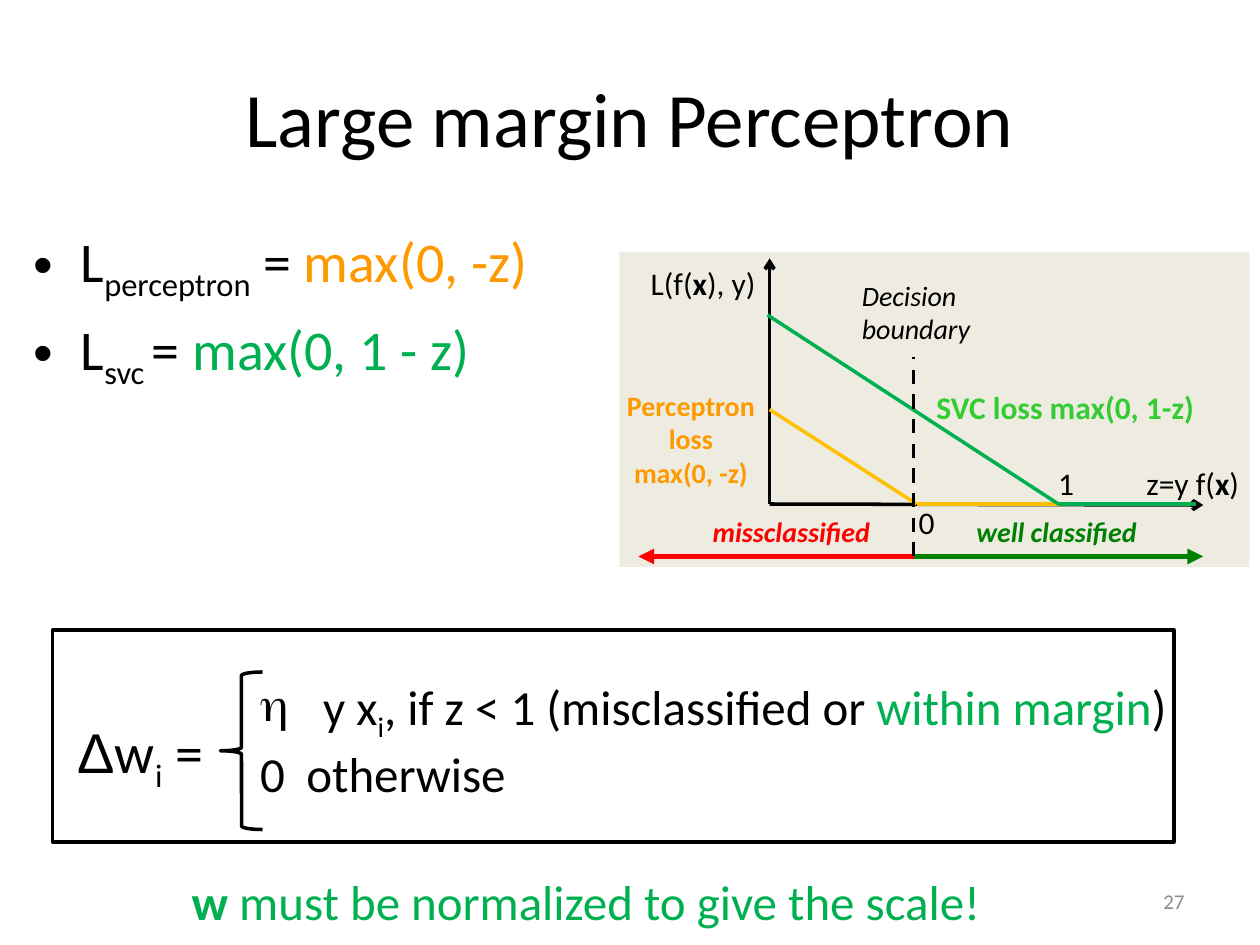
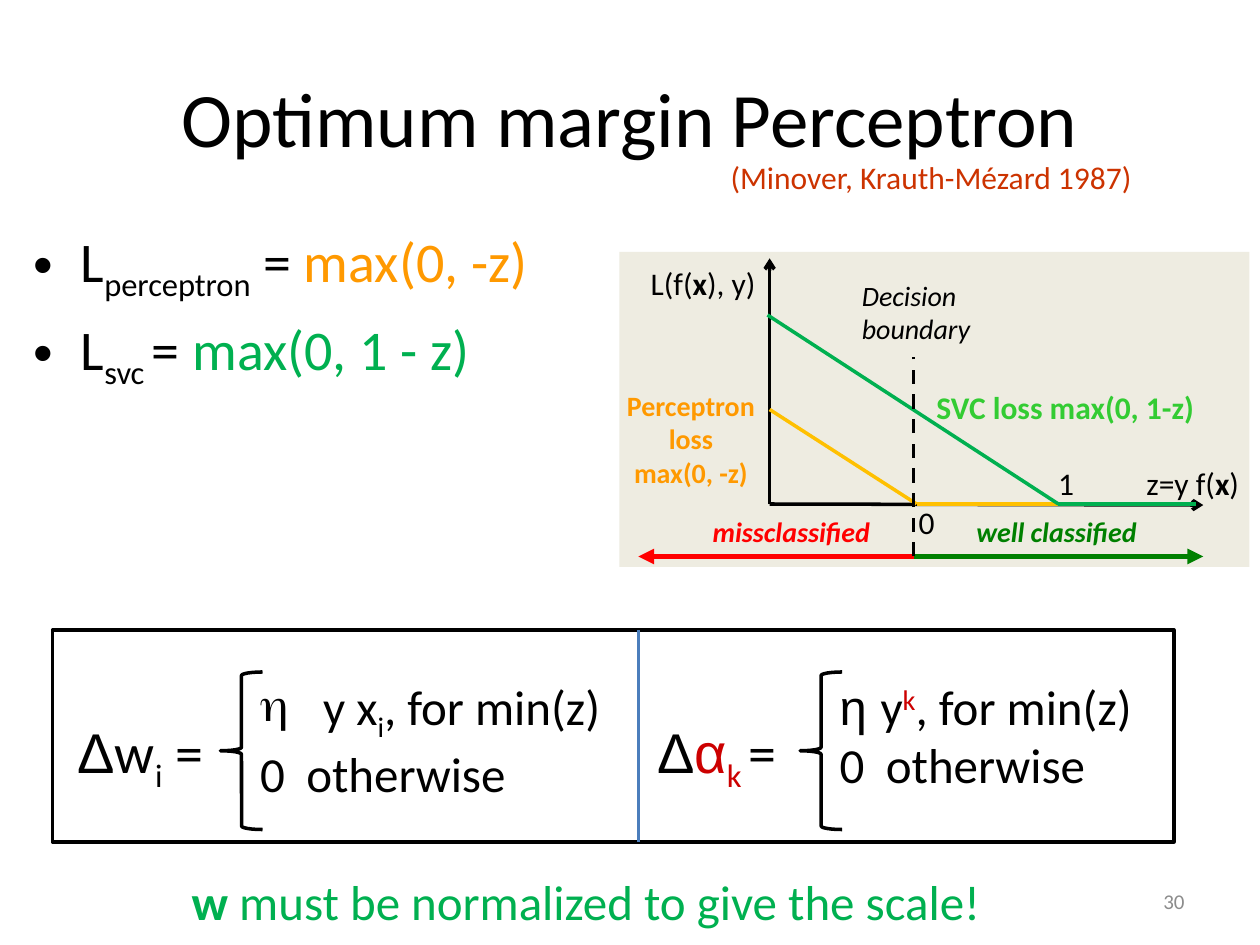
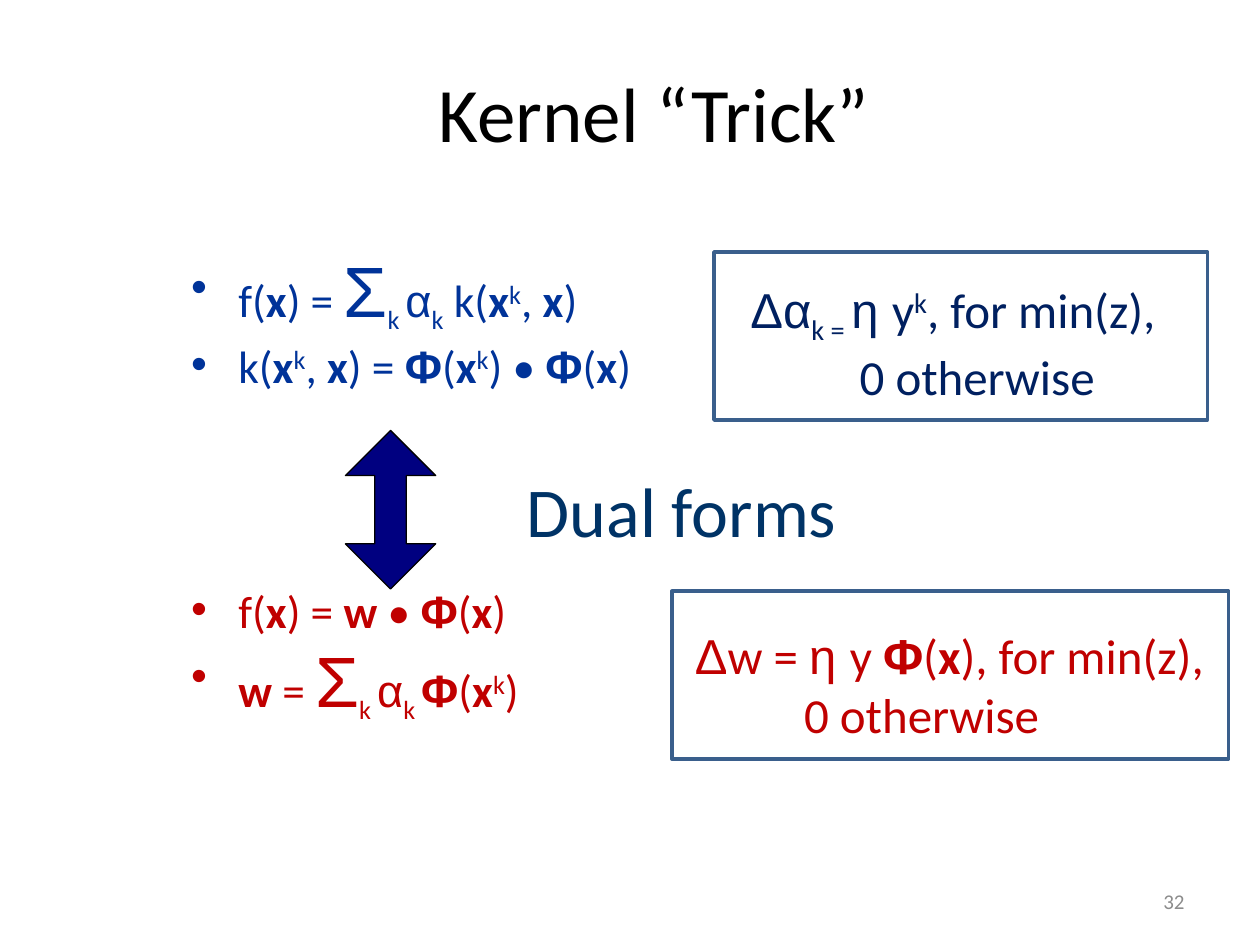
from typing import NamedTuple

from lxml import etree
from pptx import Presentation
from pptx.dml.color import RGBColor
from pptx.enum.dml import MSO_LINE
from pptx.enum.shapes import MSO_CONNECTOR, MSO_SHAPE
from pptx.enum.text import MSO_ANCHOR, MSO_AUTO_SIZE, PP_ALIGN
from pptx.oxml.ns import qn
from pptx.util import Inches, Pt

RECTANGLE, LEFT_BRACE = MSO_SHAPE.RECTANGLE, MSO_SHAPE.LEFT_BRACE
UP_DOWN_ARROW = MSO_SHAPE.UP_DOWN_ARROW
STRAIGHT, DASH = MSO_CONNECTOR.STRAIGHT, MSO_LINE.DASH
CENTER, RIGHT = PP_ALIGN.CENTER, PP_ALIGN.RIGHT
TOP, MIDDLE = MSO_ANCHOR.TOP, MSO_ANCHOR.MIDDLE
NO_FIT = MSO_AUTO_SIZE.NONE
TITLE_AND_CONTENT = 1

COLORS = {
    "black": "000000", "grey": "8C8C8C", "beige": "EEECE1",
    "orange": "FF9900", "amber": "FFC000", "green": "00B050",
    "lime": "33CC33", "dark green": "008000", "red": "FF0000",
    "crimson": "CC0000", "rust": "CC3300", "dark red": "C00000",
    "blue": "003399", "teal": "003366", "ink": "002060",
    "navy": "000080", "outline": "3A5F8C", "divider": "4B7EBC",
}

# Run styles
SUB, SUP = {"baseline": -25}, {"baseline": 30}
BOLD, ITALIC = {"bold": True}, {"italic": True}
GREEK = {"font": "Arial"}
BOLD_GREEK = GREEK | BOLD
SUM = GREEK | {"size": 40.7}
BREAK = "\n"
X = ("x", BOLD)
PHI = ("Φ", BOLD_GREEK)


def cells(count):
    """Length of grid cells; the slide is 120 columns by 90 rows."""
    return Inches(count / 12)


class Box(NamedTuple):
    left: float
    top: float
    width: float
    height: float

    def inside(self, column, row, width, height):
        return Box(self.left + column, self.top + row, width, height)

    def lengths(self):
        return [cells(count) for count in self]


TITLE = Box(6, 3.6, 108, 15)
LOSS_LIST = Box(2, 21, 57, 24)
DIAGRAM = Box(59, 24, 60, 30)
RULE_PANEL = Box(5, 60, 106.8, 20.2)
RIGHT_RULE = 55.2
SCALE_NOTE = Box(2, 82.4, 107.6, 6.8)
PAGE_NUMBER = Box(86, 83.4, 28, 4.8)


def rgb(name):
    return RGBColor.from_string(COLORS[name])


# Text helpers
def add_runs(paragraph, runs, size, color, **shared):
    for item in runs:
        if item == BREAK:
            paragraph.add_line_break()
            continue
        text, style = (item, {}) if isinstance(item, str) else item
        style = shared | style
        run = paragraph.add_run()
        run.text = text
        font = run.font
        font.name = style.get("font", "Calibri")
        font.size = Pt(style.get("size", size))
        font.color.rgb = rgb(style.get("color", color))
        font.bold = style.get("bold", False)
        font.italic = style.get("italic", False)
        if "baseline" in style:
            run._r.get_or_add_rPr().set("baseline", str(style["baseline"] * 1000))


def add_text(slide, box, lines, size, color="black", align=None, anchor=TOP, **shared):
    """Add a wrapped text box with one paragraph per list of runs."""
    frame = slide.shapes.add_textbox(*box.lengths()).text_frame
    frame.word_wrap = True
    frame.vertical_anchor = anchor
    for index, runs in enumerate(lines):
        paragraph = frame.add_paragraph() if index else frame.paragraphs[0]
        paragraph.alignment = align
        add_runs(paragraph, runs, size, color, **shared)
    return frame.paragraphs


def set_indent(paragraph, margin, first_line=0):
    properties = paragraph._p.get_or_add_pPr()
    properties.set("marL", str(cells(margin)))
    properties.set("indent", str(cells(first_line)))
    return properties


def set_bullet(paragraph, character, width):
    properties = set_indent(paragraph, width, -width)
    etree.SubElement(properties, qn("a:buChar"), char=character)


def set_tab(paragraph, position):
    tabs = etree.SubElement(paragraph._p.get_or_add_pPr(), qn("a:tabLst"))
    etree.SubElement(tabs, qn("a:tab"), pos=str(cells(position)), algn="l")


# Shape helpers
def add_shape(slide, kind, box, fill=None, line=None, width=2):
    shape = slide.shapes.add_shape(kind, *box.lengths())
    shape.shadow.inherit = False
    if fill:
        shape.fill.solid()
        shape.fill.fore_color.rgb = rgb(fill)
    else:
        shape.fill.background()
    if line:
        shape.line.color.rgb = rgb(line)
        shape.line.width = Pt(width)
    else:
        shape.line.fill.background()
    return shape


def add_line(slide, box, start, end, color, width=2, head=None, dash=None):
    """Draw a line between two points given in cells of the box."""
    points = [cells(origin + offset) for point in (start, end)
              for origin, offset in zip(box[:2], point)]
    connector = slide.shapes.add_connector(STRAIGHT, *points)
    connector.line.color.rgb = rgb(color)
    connector.line.width = Pt(width)
    if dash:
        connector.line.dash_style = dash
    if head:
        etree.SubElement(connector.line._get_or_add_ln(), qn("a:tailEnd"), type=head)
    etree.SubElement(connector._element.spPr, qn("a:effectLst"))


# Parts shared by the slides
def start_slide(presentation, title, number, title_box=TITLE):
    slide = presentation.slides.add_slide(
        presentation.slide_layouts[TITLE_AND_CONTENT])
    shape = slide.shapes.title
    shape.left, shape.top, shape.width, shape.height = title_box.lengths()
    paragraph = shape.text_frame.paragraphs[0]
    paragraph.alignment = CENTER
    add_runs(paragraph, [title], 44, "black")
    add_text(slide, PAGE_NUMBER, [[number]], 12, "grey", RIGHT, MIDDLE)
    return slide


def fill_list(slide, box, items, size):
    """Fill the body placeholder with (runs, colour) items."""
    body = slide.placeholders[1]
    body.left, body.top, body.width, body.height = box.lengths()
    frame = body.text_frame
    frame.auto_size = NO_FIT
    for index, (runs, color) in enumerate(items):
        paragraph = frame.add_paragraph() if index else frame.paragraphs[0]
        add_runs(paragraph, runs, size, color)
    return frame.paragraphs


def draw_loss_diagram(slide, box):
    add_shape(slide, RECTANGLE, box, fill="beige")
    axis, boundary, margin, floor, scale = 14.3, 28, 41.8, 24, 29

    # Axes and labels
    add_line(slide, box, (axis, floor), (axis, 0.6), "black", head="arrow")
    add_line(slide, box, (axis, floor), (55.6, floor + 0.1), "black", head="arrow")
    add_text(slide, box.inside(49, 19.6, 12, 4.8), [["z=y f(", X, ")"]], 18)
    add_text(slide, box.inside(1.8, 0.6, 14.4, 4.8), [["L(f(", X, "), y)"]], 18)

    # Classified ranges
    for label, column, width, end, color in (
            ("well classified", 32.8, 22, 55.6, "dark green"),
            ("missclassified", 7.7, 20.3, 1.8, "red")):
        add_line(slide, box, (boundary, scale), (end, scale), color, 3, "triangle")
        add_text(slide, box.inside(column, 24.4, width, 4.4), [[label]],
                 16, color, **BOLD, **ITALIC)

    # Losses
    for color, start, corner, end in (
            ("amber", (axis, 15), boundary + 0.3, 52.8),
            ("green", (axis - 0.2, 6), margin, 54.9)):
        add_line(slide, box, start, (corner, floor), color)
        add_line(slide, box, (corner, floor), (end, floor), color)
    add_text(slide, box.inside(-0.7, 12.4, 15, 10.9),
             [["Perceptron", BREAK, "loss", BREAK, "max(0, -z)"]],
             16, "orange", CENTER, **BOLD)
    add_text(slide, box.inside(29, 12.4, 27, 4.8), [["SVC loss max(0, 1-z)"]],
             18, "lime", **BOLD)

    # Decision boundary and ticks
    add_line(slide, box, (boundary, scale), (boundary, 10), "black", dash=DASH)
    add_text(slide, box.inside(21.9, 1.9, 16.4, 7.7), [["Decision boundary"]],
             16, **ITALIC)
    for tick, column, row in (("0", 27.3, 23.3), ("1", 40.6, 19.6)):
        add_text(slide, box.inside(column, row, 4, 4.8), [[tick]], 18)


def draw_rule(slide, box, weight, update, bullet=None):
    """Draw a weight change, its brace and its two cases."""
    add_text(slide, box.inside(1.2, 7.7, 16, 7.7), [weight], 32)
    add_shape(slide, LEFT_BRACE, box.inside(16, 4, 4, 15), line="black")
    first, second = add_text(
        slide, box.inside(18.6, 3.8, box.width - 18.6, 16),
        [update, ["0\totherwise"]], 28)
    if bullet:
        set_bullet(first, bullet, 6)
    set_tab(second, 4.4)


def build_margin_slide(presentation, title, number, condition, rule_width):
    slide = start_slide(presentation, title, number)
    fill_list(slide, LOSS_LIST, [
        (["L", ("perceptron", SUB), " = ",
          ("max(0, -z)", {"color": "orange"})], "black"),
        (["L", ("svc ", SUB), "= ",
          ("max(0, 1 - z)", {"color": "green"})], "black"),
    ], 32)
    draw_loss_diagram(slide, DIAGRAM)
    add_shape(slide, RECTANGLE, RULE_PANEL, line="black")
    draw_rule(slide, RULE_PANEL.inside(0, 0, rule_width, RULE_PANEL.height),
              [("Δ", GREEK), "w", ("i", SUB), " ="],
              ["y x", ("i", SUB), *condition], "η")
    add_text(slide, SCALE_NOTE,
             [[("w", BOLD), " must be normalized to give the scale!"]],
             28, "green", CENTER)
    return slide


def add_dual_rule(slide):
    """Add the citation and the rule for the dual weights."""
    red = {"color": "crimson"}
    add_text(slide, Box(68.4, 14.5, 42, 4.8),
             [["(Minover, Krauth-Mézard 1987)"]], 18, "rust")
    add_line(slide, RULE_PANEL, (55.8, 0), (55.8, RULE_PANEL.height), "divider")
    draw_rule(slide, RULE_PANEL.inside(RIGHT_RULE, 0, 52, RULE_PANEL.height),
              [("Δ", GREEK), ("α", GREEK | red), ("k ", SUB | red), "="],
              [("η ", GREEK), "y", ("k", SUP | red), ", for min(z)"])


def draw_update_box(slide, box, offset, update, color):
    column, row = offset
    add_shape(slide, RECTANGLE, box, line="outline")
    lines = add_text(slide, box.inside(column, row, box.width - column, 12.5),
                     [update, ["0 otherwise"]], 28, color)
    set_indent(lines[1], 10.4)


def build_kernel_slide(presentation):
    slide = start_slide(presentation, "Kernel “Trick”", "32",
                        Box(11.3, 3.1, 102, 15))

    # Dual forms, with a wide gap between the two pairs
    sum_alpha = [("Σ", SUM), ("k ", SUB), ("α", GREEK)]
    x_k = [X, ("k", SUP)]
    paragraphs = fill_list(slide, Box(17, 25, 71.6, 49), [
        (["f(", X, ") = ", *sum_alpha, ("k", SUB), " k(", *x_k, ", ", X, ")"],
         "blue"),
        (["k(", *x_k, ", ", X, ") = ", PHI, "(", *x_k, ") • ", PHI, "(", X, ")"],
         "blue"),
        (["f(", X, ") = ", ("w ", BOLD), "• ", PHI, "(", X, ")"], "dark red"),
        ([("w", BOLD), " = ", *sum_alpha, ("k ", SUB), PHI, "(", *x_k, ")"],
         "dark red"),
    ], 25.9)
    for paragraph, gap in zip(paragraphs, (13, 13, 118, 13)):
        paragraph.line_spacing = 0.7
        paragraph.space_before = Pt(gap)

    # Link between the pairs
    arrow = add_shape(slide, UP_DOWN_ARROW, Box(32.9, 41, 8.6, 15.1),
                      "navy", "black", 0.75)
    arrow.adjustments[0], arrow.adjustments[1] = 0.5, 0.35
    add_text(slide, Box(49, 41, 35, 15), [["Dual forms"]], 40, "teal",
             anchor=MIDDLE)

    # Update rules
    draw_update_box(slide, Box(68, 24, 47, 16), (2.3, 2),
                    [("Δα", GREEK), ("k = ", SUB), ("η ", GREEK), "y",
                     ("k", SUP), ", for min(z),"], "ink")
    draw_update_box(slide, Box(64, 56.3, 53, 16), (1, 2.7),
                    [("Δ", GREEK), "w = ", ("η ", GREEK), "y ", PHI, "(", X,
                     "), for min(z),"], "dark red")


def main():
    presentation = Presentation()
    presentation.slide_width = cells(120)
    presentation.slide_height = cells(90)
    build_margin_slide(
        presentation, "Large margin Perceptron", "27",
        [", if z < 1 (misclassified or ",
         ("within margin", {"color": "green"}), ")"], 109)
    optimum = build_margin_slide(
        presentation, "Optimum margin Perceptron", "30", [", for min(z)"], 55.8)
    add_dual_rule(optimum)
    build_kernel_slide(presentation)
    presentation.save("out.pptx")


if __name__ == "__main__":
    main()
